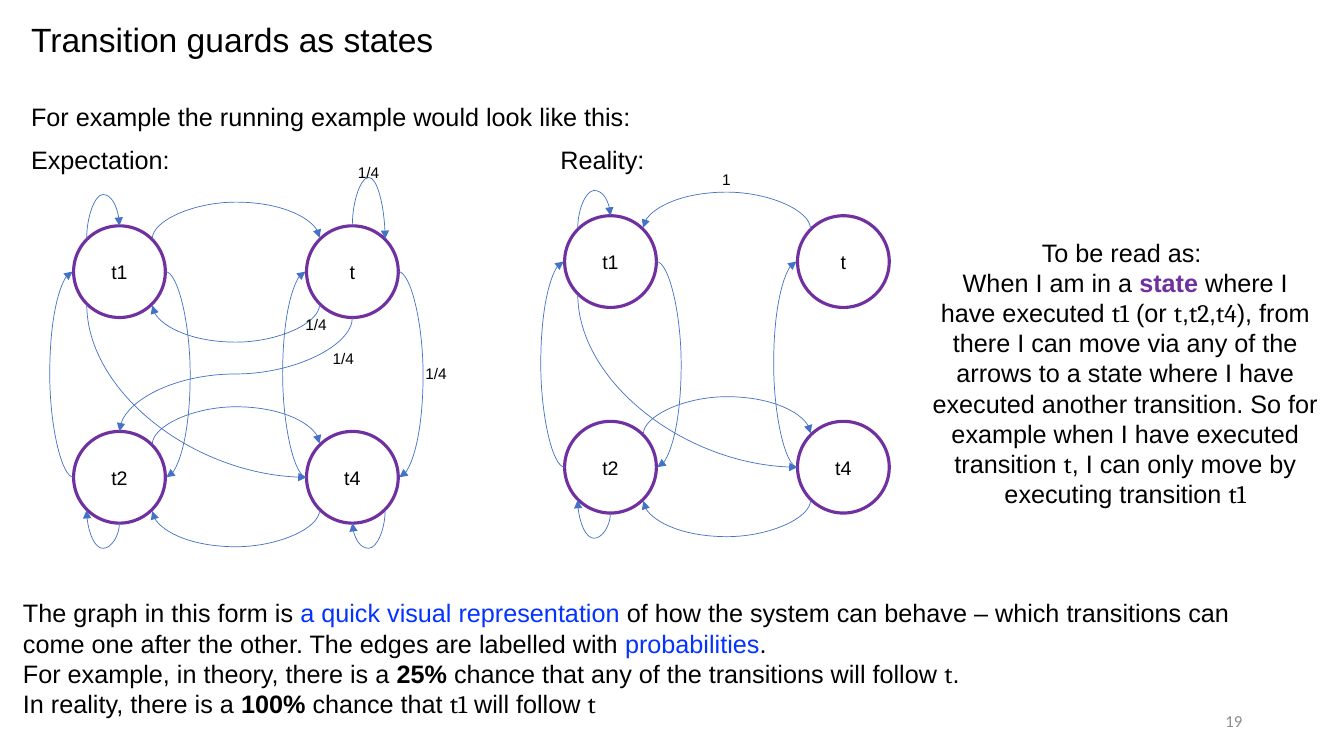
from lxml.etree import SubElement
from pptx import Presentation
from pptx.dml.color import RGBColor
from pptx.enum.shapes import MSO_CONNECTOR, MSO_SHAPE
from pptx.enum.text import MSO_ANCHOR, MSO_AUTO_SIZE, PP_ALIGN
from pptx.oxml.ns import qn
from pptx.util import Inches, Pt

BLACK = RGBColor(0x00, 0x00, 0x00)
WHITE = RGBColor(0xFF, 0xFF, 0xFF)
PURPLE = RGBColor(0x70, 0x30, 0xA0)
BLUE = RGBColor(0x04, 0x32, 0xFF)
EDGE_BLUE = RGBColor(0x44, 0x72, 0xC4)
GREY = RGBColor(0x8C, 0x8C, 0x8C)

PLAIN = {"name": "Arial", "bold": False, "color": BLACK}
CODE = {"name": "Cambria"}
BOLD = {"bold": True}
STATE = {"bold": True, "color": PURPLE}
ACCENT = {"color": BLUE}

DIAMETER = 0.91
NEAR, MIDDLE, FAR = 0.13, DIAMETER / 2, 0.78
NODES = {"t1": (0, 0), "t": (2.31, 0), "t2": (0, 2.04), "t4": (2.31, 2.04)}
PORTS = {
    "top": (MIDDLE, 0), "bottom": (MIDDLE, DIAMETER),
    "left": (0, MIDDLE), "right": (DIAMETER, MIDDLE),
    "top left": (NEAR, NEAR), "top right": (FAR, NEAR),
    "bottom left": (NEAR, FAR), "bottom right": (FAR, FAR),
}

SHARED_EDGES = [
    ("t2", "top right", "t4", "top left", "y", 1.79),
    ("t4", "bottom left", "t2", "bottom right", "y", 3.19),
    ("t2", "left", "t1", "left", "x", -0.24),
    ("t1", "bottom left", "t4", "left", "y", None),
    ("t1", "right", "t2", "right", "x", 1.16),
    ("t4", "left", "t", "left", "x", 2.07),
    ("t2", "bottom", "t2", "bottom left", "y", 3.2),
]
EXPECTED_EDGES = SHARED_EDGES + [
    ("t1", "top right", "t", "top left", "y", -0.24),
    ("t", "bottom left", "t1", "bottom right", "y", 1.16),
    ("t", "right", "t4", "right", "x", 3.47),
    ("t", "bottom", "t2", "top", "y", 1.47),
    ("t", "top", "t", "top right", "y", -0.48),
    ("t4", "bottom right", "t4", "bottom", "y", 3.2),
    ("t1", "top left", "t1", "top", "y", -0.31),
]
REAL_EDGES = SHARED_EDGES + [
    ("t", "top left", "t1", "top right", "y", -0.24),
    ("t1", "top left", "t1", "top", "y", -0.25),
]
PROBABILITIES = [
    (3.94, 3.56, "1/4"), (3.27, 1.57, "1/4"), (3.02, 3.41, "1/4"),
    (2.75, 3.08, "1/4"), (6.82, 1.64, "1"),
]

INTRO = [
    [("For example the running example would look like this: ", {})],
    [("Expectation:\tReality:", {})],
]
READING = [
    [("To be read as: ", {})],
    [("When I am in a ", {}), ("state", STATE), (" where I have executed ", {}),
     ("t1", CODE), (" (or ", {}), ("t", CODE), (",", {}), ("t2", CODE), (",", {}),
     ("t4", CODE),
     ("), from there I can move via any of the arrows to a state where I have "
      "executed another transition. So for example when I have executed "
      "transition ", {}),
     ("t", CODE), (", I can only move by executing transition ", {}), ("t1", CODE)],
]
SUMMARY = [
    [("The graph in this form is ", {}), ("a quick visual representation ", ACCENT),
     ("of how the system can behave – which transitions can come one after the "
      "other. The edges are labelled with ", {}),
     ("probabilities", ACCENT), (". ", {})],
    [("For example, in theory, there is a ", {}), ("25%", BOLD),
     (" chance that any of the transitions will follow ", {}), ("t", CODE),
     (". ", {})],
    [("In reality, there is a ", {}), ("100%", BOLD), (" chance that ", {}),
     ("t1", CODE), (" will follow ", {}), ("t ", CODE)],
]


def format_font(font, values):
    for key, value in values.items():
        if key == "color":
            font.color.rgb = value
        else:
            setattr(font, key, value)


def add_text(shapes, place, paragraphs, size, align=PP_ALIGN.LEFT, style=PLAIN):
    box = shapes.add_textbox(*map(Inches, place))
    frame = box.text_frame
    frame.word_wrap = True
    frame.auto_size = MSO_AUTO_SIZE.SHAPE_TO_FIT_TEXT
    for index, pieces in enumerate(paragraphs):
        para = frame.add_paragraph() if index else frame.paragraphs[0]
        para.alignment = align
        for text, changes in pieces:
            span = para.add_run()
            span.text = text
            format_font(span.font, {**style, "size": Pt(size), **changes})
    return frame


def add_label(shapes, place, text, size):
    add_text(shapes, place, [[(text, {})]], size, PP_ALIGN.CENTER)


def add_tab_stop(para, position):
    stops = SubElement(para._p.get_or_add_pPr(), qn("a:tabLst"))
    SubElement(stops, qn("a:tab"), pos=str(position), algn="l")


def add_node(shapes, left, top, name):
    circle = shapes.add_shape(
        MSO_SHAPE.OVAL, *map(Inches, (left, top, DIAMETER, DIAMETER)))
    circle.shadow.inherit = False
    circle.fill.solid()
    circle.fill.fore_color.rgb = WHITE
    circle.line.color.rgb = PURPLE
    circle.line.width = Pt(2.25)
    add_label(shapes, (left + 0.07, top + 0.29, 0.77, 0.34), name, 14)


def turn_upright(connector, start, end):
    (x1, y1), (x2, y2) = start, end
    width, height = abs(y2 - y1), abs(x2 - x1)
    connector.left = Inches((x1 + x2 - width) / 2)
    connector.top = Inches((y1 + y2 - height) / 2)
    connector.width, connector.height = Inches(width), Inches(height)
    down_right = x2 > x1 and y2 > y1
    frame = connector._element.spPr.find(qn("a:xfrm"))
    frame.set("rot", str((270 if down_right else 90) * 60000))
    frame.set("flipH", str(int(y2 < y1 or down_right)))
    frame.set("flipV", str(int(x2 > x1 and not down_right)))


def add_edge(shapes, start, end, axis, bend):
    along = "xy".index(axis)
    end = list(end)
    if abs(end[along] - start[along]) < 0.005:
        end[along] += 0.01 if bend > start[along] else -0.01
    connector = shapes.add_connector(
        MSO_CONNECTOR.CURVE, *map(Inches, (*start, *end)))
    if axis == "y":
        turn_upright(connector, start, end)
    connector.line.color.rgb = EDGE_BLUE
    connector.line.width = Pt(0.5)
    properties = connector._element.spPr
    SubElement(properties.find(qn("a:ln")), qn("a:tailEnd"), type="triangle")
    SubElement(properties, qn("a:effectLst"))
    geometry = properties.find(qn("a:prstGeom"))
    if bend is None:
        geometry.set("prst", "curvedConnector2")
    else:
        ratio = (bend - start[along]) / (end[along] - start[along])
        guides = geometry.find(qn("a:avLst"))
        SubElement(guides, qn("a:gd"), name="adj1", fmla=f"val {round(ratio * 100000)}")


def add_graph(page, origin, edges):
    shapes = page.shapes.add_group_shape().shapes

    def locate(node, port):
        return [sum(parts) for parts in zip(origin, NODES[node], PORTS[port])]

    for name, (left, top) in NODES.items():
        add_node(shapes, origin[0] + left, origin[1] + top, name)
    for source, leaving, target, arriving, axis, bend in edges:
        if bend is not None:
            bend += origin["xy".index(axis)]
        add_edge(shapes, locate(source, leaving), locate(target, arriving), axis, bend)


def main():
    deck = Presentation()
    deck.slide_width, deck.slide_height = Inches(13.33), Inches(7.5)
    page = deck.slides.add_slide(deck.slide_layouts[6])
    shapes = page.shapes

    intro = add_text(shapes, (0.21, 0.96, 12.73, 0.84), INTRO, 18)
    intro.paragraphs[1].space_before = Pt(9)
    add_tab_stop(intro.paragraphs[1], Inches(5.25))
    add_text(shapes, (0.21, 0.14, 8.15, 0.5), [[("Transition guards as states ", {})]], 24)

    add_graph(page, (0.73, 2.24), EXPECTED_EDGES)
    add_graph(page, (5.6, 2.14), REAL_EDGES)

    add_text(shapes, (9.15, 2.3, 4.02, 2.52), READING, 18, PP_ALIGN.CENTER)
    add_text(shapes, (0.13, 5.88, 12.8, 1.31), SUMMARY, 18)
    for left, top, text in PROBABILITIES:
        add_label(shapes, (left, top, 0.77, 0.29), text, 11)
    number = add_text(shapes, (9.42, 6.95, 3, 0.4), [[("19", {})]], 12,
                      PP_ALIGN.RIGHT, {"name": "Calibri", "color": GREY})
    number.auto_size = MSO_AUTO_SIZE.NONE
    number.vertical_anchor = MSO_ANCHOR.MIDDLE
    deck.save("out.pptx")


main()
